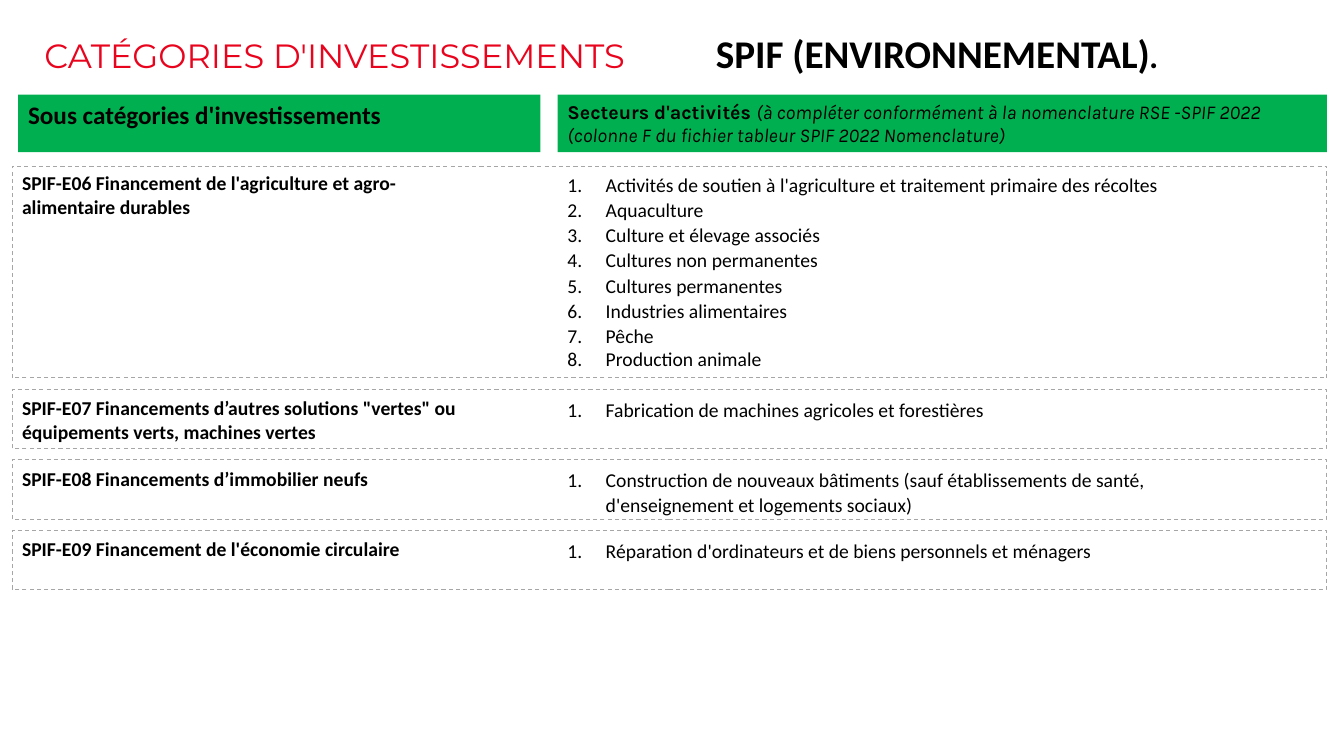
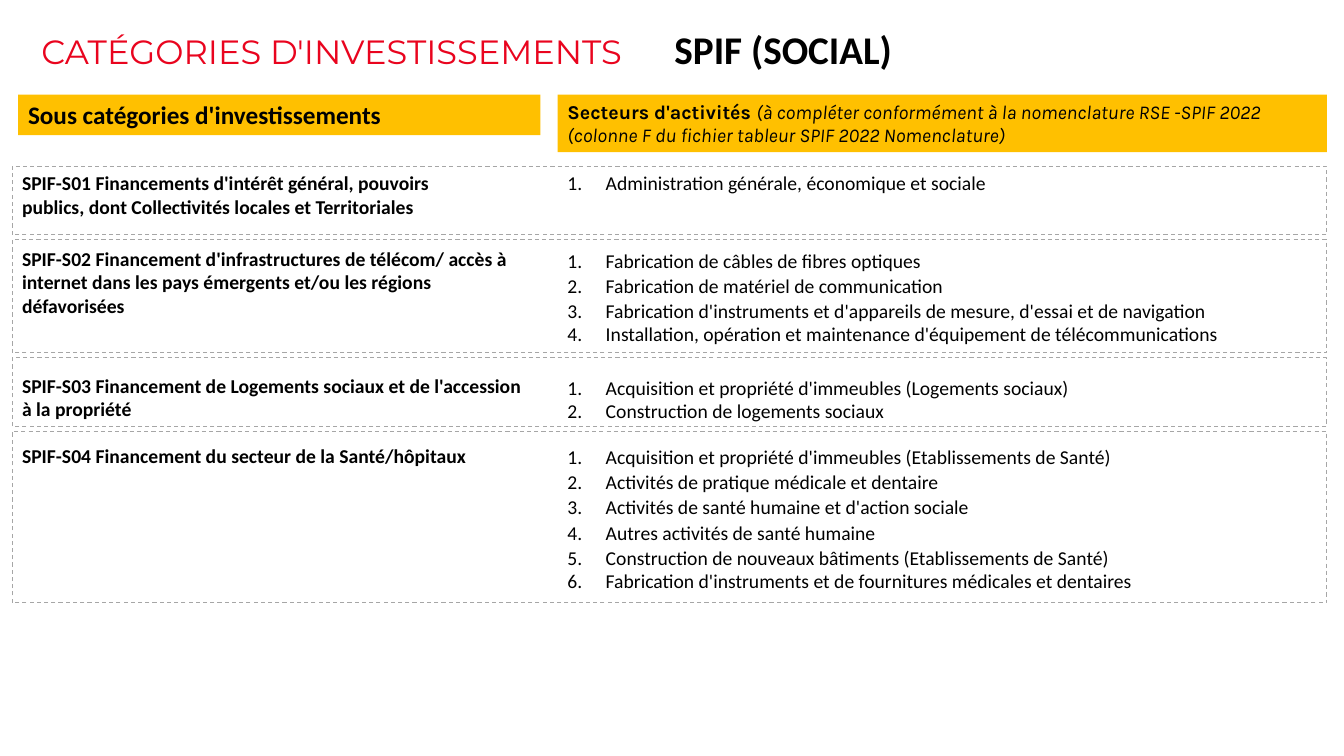
"""Builds the two slides of investment categories."""
from lxml import etree
from pptx import Presentation
from pptx.dml.color import RGBColor
from pptx.enum.dml import MSO_LINE
from pptx.enum.shapes import MSO_SHAPE
from pptx.enum.text import MSO_ANCHOR, PP_ALIGN
from pptx.oxml.ns import qn
from pptx.util import Inches, Pt

RECT = MSO_SHAPE.RECTANGLE
DASH = MSO_LINE.DASH
TOP, BOTTOM = MSO_ANCHOR.TOP, MSO_ANCHOR.BOTTOM
LEFT = PP_ALIGN.LEFT

HUES = {
    "red": "E9041E",
    "black": "000000",
    "ink": "010101",
    "green": "00B050",
    "gold": "FFC000",
    "grey": "A6A6A6",
}
WIDE, HIGH = 13.33, 7.5
EDGE, SPAN = 0.12, 13.04
COLS = {"name": (0.18, 5.18), "list": (5.53, 7.63)}
SLIM, ITEM = 4.81, 6.9
BAND, BODY = 0.94, 1.65
HANG = 0.38
LOOSE, TIGHT = 1.07, 1.0

SLIDES = [
    {
        "title": (0.44, 0.38, 6.66),
        "theme": [("SPIF (ENVIRONNEMENTAL)", False), (".", True)],
        "hue": "green",
        "band": 0.57,
        "gap": 0.11,
        "rows": [
            (2.1, 0, TIGHT,
             "SPIF-E06 Financement de l'agriculture et agro-alimentaire durables",
             ["Activités de soutien à l'agriculture et traitement primaire des récoltes",
              "Aquaculture",
              "Culture et élevage associés",
              "Cultures non permanentes",
              "Cultures permanentes",
              "Industries alimentaires",
              "Pêche",
              "Production animale"]),
            (0.59, 0.02, LOOSE,
             "SPIF-E07 Financements d’autres solutions \"vertes\" ou équipements verts, machines vertes",
             ["Fabrication de machines agricoles et forestières"]),
            (0.59, 0.02, LOOSE,
             "SPIF-E08 Financements d’immobilier neufs",
             ["Construction de nouveaux bâtiments (sauf établissements de santé, "
              "d'enseignement et logements sociaux)"]),
            (0.59, 0.02, LOOSE,
             "SPIF-E09 Financement de l'économie circulaire",
             ["Réparation d'ordinateurs et de biens personnels et ménagers"]),
        ],
    },
    {
        "title": (0.41, 0.34, 6.28),
        "theme": [("SPIF (SOCIAL)", False)],
        "hue": "gold",
        "band": 0.4,
        "gap": 0.05,
        "rows": [
            (0.68, 0, TIGHT,
             "SPIF-S01 Financements d'intérêt général, pouvoirs publics, "
             "dont Collectivités locales et Territoriales",
             ["Administration générale, économique et sociale"]),
            (1.12, 0.02, TIGHT,
             "SPIF-S02 Financement d'infrastructures de télécom/ accès à internet "
             "dans les pays émergents et/ou les régions défavorisées",
             ["Fabrication de câbles de fibres optiques",
              "Fabrication de matériel de communication",
              "Fabrication d'instruments et d'appareils de mesure, d'essai et de navigation",
              "Installation, opération et maintenance d'équipement de télécommunications"]),
            (0.68, 0.11, TIGHT,
             "SPIF-S03 Financement de Logements sociaux et de l'accession à la propriété",
             ["Acquisition et propriété d'immeubles (Logements sociaux)",
              "Construction de logements sociaux"]),
            (1.7, 0.07, TIGHT,
             "SPIF-S04 Financement du secteur de la Santé/hôpitaux",
             ["Acquisition et propriété d'immeubles (Etablissements de Santé)",
              "Activités de pratique médicale et dentaire",
              "Activités de santé humaine et d'action sociale",
              "Autres activités de santé humaine",
              "Construction de nouveaux bâtiments (Etablissements de Santé)",
              "Fabrication d'instruments et de fournitures médicales et dentaires"]),
        ],
    },
]


def tint(name):
    """Return the named colour."""
    return RGBColor.from_string(HUES[name])


def add_run(para, text, size=14, face="Calibri", hue="black", bold=False, slant=False):
    """Add one styled run to a paragraph."""
    run = para.add_run()
    run.text = text
    font = run.font
    font.size, font.name = Pt(size), face
    font.bold, font.italic = bold, slant
    font.color.rgb = tint(hue)


def add_rect(slide, x, y, w, h, fill=None, line=None):
    """Draw a flat rectangle with a fill or a dashed line."""
    rect = slide.shapes.add_shape(RECT, *map(Inches, (x, y, w, h)))
    rect.shadow.inherit = False
    if fill:
        rect.fill.solid()
        rect.fill.fore_color.rgb = tint(fill)
    else:
        rect.fill.background()
    if line:
        rect.line.color.rgb = tint(line)
        rect.line.width = Pt(0.75)
        rect.line.dash_style = DASH
    else:
        rect.line.fill.background()
    return rect


def add_text(slide, x, y, w, h):
    """Add a wrapping text box and return its frame."""
    frame = slide.shapes.add_textbox(*map(Inches, (x, y, w, h))).text_frame
    frame.word_wrap = True
    return frame


def add_title(slide, x, y, stop, theme):
    """Add the title, with its theme set at a tab stop."""
    frame = add_text(slide, x, y, 12.46, 0.37)
    frame.margin_left = frame.margin_right = 0
    frame.margin_top = frame.margin_bottom = 0
    frame.vertical_anchor = BOTTOM
    para = frame.paragraphs[0]
    para.line_spacing = 0.75
    tabs = etree.SubElement(para._p.get_or_add_pPr(), qn("a:tabLst"))
    etree.SubElement(tabs, qn("a:tab"), pos=str(Inches(stop)), algn="l")
    add_run(para, "CATÉGORIES D'INVESTISSEMENTS\t", 24, "Montserrat", "red")
    for text, slant in theme:
        add_run(para, text, 24 if slant else 28, bold=True, slant=slant)


def add_band(slide, col, high, hue):
    """Add a column's header band and return its paragraph."""
    x, w = COLS[col]
    frame = add_rect(slide, x, BAND, w, high, hue).text_frame
    frame.word_wrap = True
    frame.vertical_anchor = TOP
    para = frame.paragraphs[0]
    para.alignment = LEFT
    return para


def add_heads(slide, high, hue):
    """Add both column headers."""
    para = add_band(slide, "name", high, hue)
    add_run(para, "Sous catégories d'investissements", 18, hue="ink", bold=True)
    para = add_band(slide, "list", 0.57, hue)
    add_run(para, "Secteurs d'activités ", face="Karla", hue="ink", bold=True)
    add_run(para, "(à compléter conformément à la nomenclature RSE -SPIF 2022 "
            "(colonne F du fichier tableur SPIF 2022 Nomenclature)",
            face="Karla", hue="ink", slant=True)


def add_list(slide, y, h, items, last):
    """Add a numbered list whose last line has its own spacing."""
    frame = add_text(slide, COLS["list"][0], y, ITEM, h)
    for num, item in enumerate(items, 1):
        para = frame.paragraphs[0] if num == 1 else frame.add_paragraph()
        para.line_spacing = last if num == len(items) else LOOSE
        props = para._p.get_or_add_pPr()
        props.set("marL", str(Inches(HANG)))
        props.set("indent", str(-Inches(HANG)))
        etree.SubElement(props, qn("a:buFont"), typeface="+mj-lt")
        etree.SubElement(props, qn("a:buAutoNum"), type="arabicPeriod")
        add_run(para, item)


def add_rows(slide, rows, gap):
    """Stack the framed rows of categories and sectors."""
    y = BODY
    for num, (high, pad, last, name, items) in enumerate(rows):
        wide = COLS["name"][1] if num else SLIM
        frame = add_text(slide, EDGE, y + pad, wide, high - pad)
        add_run(frame.paragraphs[0], name, bold=True)
        add_list(slide, y + pad, high - pad, items, last)
        add_rect(slide, EDGE, y, SPAN, high, line="grey")
        y += high + gap


def main():
    """Build and save the deck."""
    deck = Presentation()
    deck.slide_width, deck.slide_height = Inches(WIDE), Inches(HIGH)
    for data in SLIDES:
        slide = deck.slides.add_slide(deck.slide_layouts[6])
        add_title(slide, *data["title"], data["theme"])
        add_heads(slide, data["band"], data["hue"])
        add_rows(slide, data["rows"], data["gap"])
    deck.save("out.pptx")


if __name__ == "__main__":
    main()
